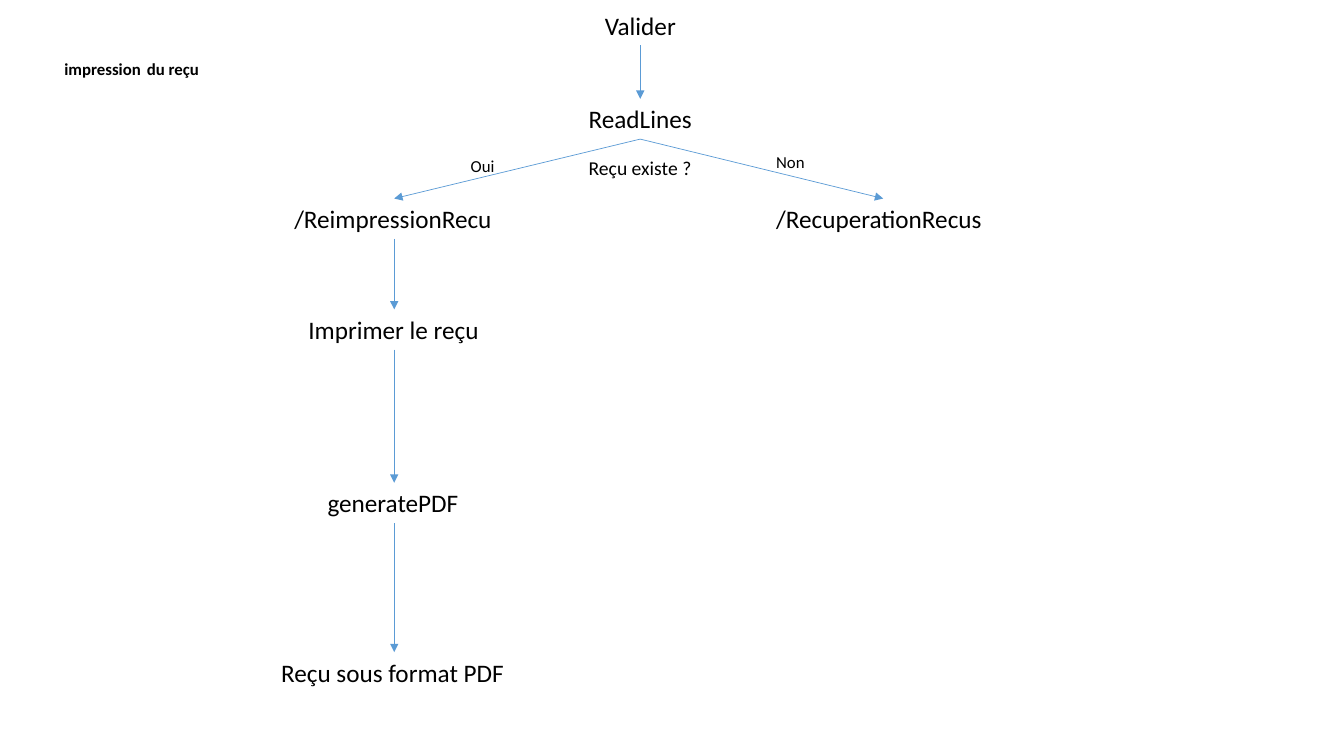
from dataclasses import dataclass

from lxml.etree import SubElement
from pptx import Presentation
from pptx.dml.color import RGBColor
from pptx.enum.shapes import MSO_CONNECTOR
from pptx.enum.text import MSO_AUTO_SIZE
from pptx.oxml.ns import qn
from pptx.util import Inches, Pt


@dataclass(frozen=True)
class Theme:
    font: str = "Calibri"
    text: RGBColor = RGBColor(0x00, 0x00, 0x00)
    arrow: RGBColor = RGBColor(0x5B, 0x9B, 0xD5)
    arrow_width: float = 0.5
    step_size: int = 18
    question_size: int = 14
    small_size: int = 12


theme = Theme()

presentation = Presentation()
presentation.slide_width = Inches(13.33)
presentation.slide_height = Inches(7.5)
slide = presentation.slides.add_slide(presentation.slide_layouts[6])


def add_label(text, left, top, width, height, size, wrap=False):
    box = slide.shapes.add_textbox(Inches(left), Inches(top), Inches(width), Inches(height))
    box.text_frame.text = text
    box.text_frame.word_wrap = wrap
    box.text_frame.auto_size = MSO_AUTO_SIZE.SHAPE_TO_FIT_TEXT
    paragraph = box.text_frame.paragraphs[0]
    for run in paragraph.runs:
        run.font.name = theme.font
        run.font.size = Pt(size)
        run.font.color.rgb = theme.text
    return paragraph


# Title, with a larger space between its two parts
title = add_label("impression", 0.54, 0.45, 1.59, 0.4, theme.small_size)
for text, size in ((" ", theme.step_size), ("du reçu", theme.small_size)):
    run = title.add_run()
    run.text = text
    run.font.name = theme.font
    run.font.size = Pt(size)
    run.font.color.rgb = theme.text
for run in title.runs:
    run.font.bold = True

# Steps: name -> left, top, width, x of the arrows that meet the step
step_height = 0.4
root_x, yes_x, no_x = 6.35, 3.91, 8.76
steps = {
    "Valider": (5.9, 0.05, 0.92, root_x),
    "ReadLines": (5.74, 0.98, 1.24, root_x),
    "/ReimpressionRecu": (2.82, 1.97, 2.18, yes_x),
    "/RecuperationRecus": (7.6, 1.97, 2.32, no_x),
    "Imprimer le reçu": (2.96, 3.07, 1.91, yes_x),
    "generatePDF": (3.15, 4.79, 1.51, yes_x),
    "Reçu sous format PDF": (2.69, 6.47, 2.44, yes_x),
}
for name, (left, top, width, _) in steps.items():
    add_label(name, left, top, width, step_height, theme.step_size)

# Arrows run from the bottom of one step to the top of the next
flow = [
    ("Valider", "ReadLines"),
    ("ReadLines", "/ReimpressionRecu"),
    ("ReadLines", "/RecuperationRecus"),
    ("/ReimpressionRecu", "Imprimer le reçu"),
    ("Imprimer le reçu", "generatePDF"),
    ("generatePDF", "Reçu sous format PDF"),
]
for source, target in flow:
    _, source_top, _, source_x = steps[source]
    _, target_top, _, target_x = steps[target]
    arrow = slide.shapes.add_connector(
        MSO_CONNECTOR.STRAIGHT,
        Inches(source_x), Inches(source_top + step_height),
        Inches(target_x), Inches(target_top),
    )
    arrow.line.color.rgb = theme.arrow
    arrow.line.width = Pt(theme.arrow_width)
    SubElement(arrow.line._get_or_add_ln(), qn("a:tailEnd"), type="triangle")
    SubElement(arrow._element.spPr, qn("a:effectLst"))

# Question and its two answers
add_label("Reçu existe ?", 5.74, 1.5, 1.23, 0.34, theme.question_size)
for answer, left, top in (("Oui", 4.57, 1.5), ("Non", 7.6, 1.46)):
    add_label(answer, left, top, 0.56, 0.3, theme.small_size, wrap=True)

presentation.save("out.pptx")
